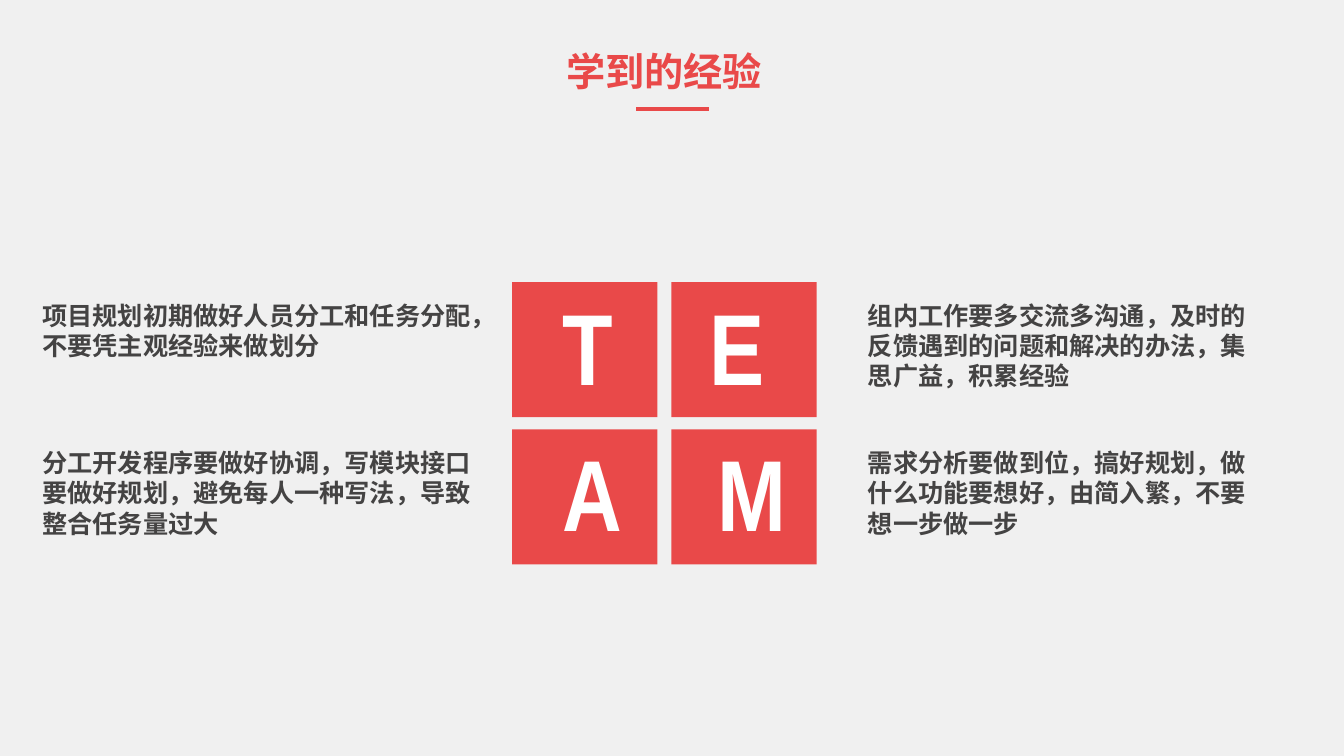
from dataclasses import dataclass

from lxml import etree
from pptx import Presentation
from pptx.dml.color import RGBColor
from pptx.enum.shapes import MSO_CONNECTOR, MSO_SHAPE
from pptx.enum.text import MSO_AUTO_SIZE, PP_ALIGN
from pptx.oxml.ns import qn
from pptx.util import Inches, Pt

RECTANGLE = MSO_SHAPE.RECTANGLE
STRAIGHT = MSO_CONNECTOR.STRAIGHT
FIT_SHAPE = MSO_AUTO_SIZE.SHAPE_TO_FIT_TEXT
LEFT, CENTER = PP_ALIGN.LEFT, PP_ALIGN.CENTER


@dataclass(frozen=True)
class Theme:
    background: RGBColor = RGBColor(0xF0, 0xF0, 0xF0)
    accent: RGBColor = RGBColor(0xE9, 0x49, 0x49)
    body: RGBColor = RGBColor(0x44, 0x43, 0x43)
    white: RGBColor = RGBColor(0xFF, 0xFF, 0xFF)
    font: str = "Arial Narrow"
    title_size: int = 28
    body_size: int = 18
    letter_size: int = 72
    rule_width: int = 3


THEME = Theme()

TILE_LEFT, TILE_TOP = 5.08, 2.8
TILE_WIDTH, TILE_HEIGHT = 1.44, 1.34
COLUMN_STEP, ROW_STEP = 1.58, 1.46

# Letter, left and top of its text box
LETTERS = [
    ("T", 5.48, 2.78),
    ("E", 6.94, 2.78),
    ("A", 5.48, 4.22),
    ("M", 7.02, 4.22),
]

NOTE_TOP = 2.93
# Left, width and the texts from top to bottom, each with its height
NOTE_COLUMNS = [
    (8.51, 4.15, [
        ("组内工作要多交流多沟通，及时的反馈遇到的问题和解决的办法，集思广益，积累经验", 1.01),
        ("需求分析要做到位，搞好规划，做什么功能要想好，由简入繁，不要想一步做一步", 1.01),
    ]),
    (0.32, 4.49, [
        ("项目规划初期做好人员分工和任务分配，不要凭主观经验来做划分", 0.71),
        ("分工开发程序要做好协调，写模块接口要做好规划，避免每人一种写法，导致整合任务量过大", 1.01),
    ]),
]


def add_text(shapes, text, left, top, width, height, size, color, alignment=LEFT):
    box = shapes.add_textbox(Inches(left), Inches(top), Inches(width), Inches(height))
    frame = box.text_frame
    frame.word_wrap = True
    frame.auto_size = FIT_SHAPE
    paragraph = frame.paragraphs[0]
    paragraph.alignment = alignment
    run = paragraph.add_run()
    run.text = text
    run.font.name = THEME.font
    run.font.size = Pt(size)
    run.font.bold = True
    run.font.color.rgb = color


def add_tile(shapes, left, top):
    tile = shapes.add_shape(
        RECTANGLE, Inches(left), Inches(top), Inches(TILE_WIDTH), Inches(TILE_HEIGHT)
    )
    tile.shadow.inherit = False
    tile.fill.solid()
    tile.fill.fore_color.rgb = THEME.accent
    tile.line.fill.background()


def add_team_grid(slide):
    """Group the four tiles with the letters that lie on them."""
    shapes = slide.shapes.add_group_shape().shapes
    for row in range(2):
        for column in range(2):
            add_tile(shapes, TILE_LEFT + column * COLUMN_STEP, TILE_TOP + row * ROW_STEP)
    for letter, left, top in LETTERS:
        add_text(shapes, letter, left, top, 0.93, 1.31, THEME.letter_size, THEME.white)


def add_notes_beside_grid(slide):
    for left, width, notes in NOTE_COLUMNS:
        for row, (text, height) in enumerate(notes):
            top = NOTE_TOP + row * ROW_STEP
            add_text(slide.shapes, text, left, top, width, height,
                     THEME.body_size, THEME.body)


def add_title(slide):
    add_text(slide.shapes, "学到的经验", 4.34, 0.42, 4.49, 0.57,
             THEME.title_size, THEME.accent, CENTER)
    rule = slide.shapes.add_connector(
        STRAIGHT, Inches(6.31), Inches(1.08), Inches(7.03), Inches(1.08)
    )
    rule.line.color.rgb = THEME.accent
    rule.line.width = Pt(THEME.rule_width)
    etree.SubElement(rule._element.spPr, qn("a:effectLst"))


def main():
    presentation = Presentation()
    presentation.slide_width = Inches(13.33)
    presentation.slide_height = Inches(7.5)
    slide = presentation.slides.add_slide(presentation.slide_layouts[6])
    slide.background.fill.solid()
    slide.background.fill.fore_color.rgb = THEME.background
    add_team_grid(slide)
    add_notes_beside_grid(slide)
    add_title(slide)
    presentation.save("out.pptx")


if __name__ == "__main__":
    main()
